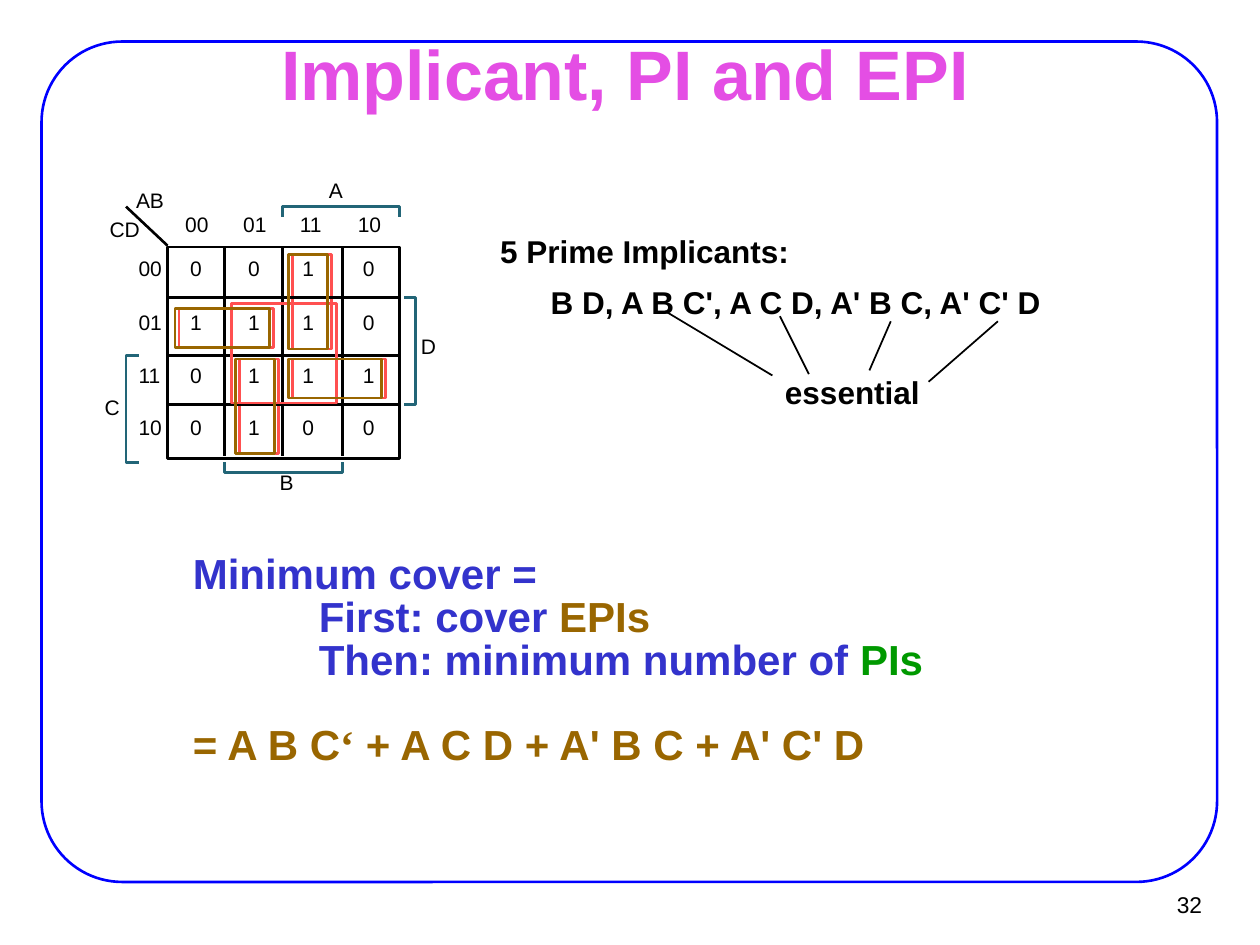
from pptx import Presentation
from pptx.dml.color import RGBColor
from pptx.enum.shapes import MSO_CONNECTOR, MSO_SHAPE
from pptx.enum.text import MSO_ANCHOR, MSO_AUTO_SIZE, PP_ALIGN
from pptx.oxml.ns import qn
from pptx.util import Pt
from lxml.etree import SubElement

PX = 9144  # 100 px to the inch
FONT = "Arial"
INK = {
    "black": "000000", "frame": "0000FF", "title": "E44EE4", "red": "FF5050",
    "brown": "996600", "teal": "226577", "blue": "3333CC", "green": "009900",
}


def color(name):
    return RGBColor.from_string(INK[name])


def emu(*nums):
    return [n * PX for n in nums]


def fill_text(frame, paras, size=12, ink="black", bold=False, align=PP_ALIGN.LEFT,
              inset=(0, 0), wrap=False, lead=None, anchor=MSO_ANCHOR.TOP, grow=True):
    """Each paragraph is (runs, indent, space before); each run (text, ink, font)."""
    if isinstance(paras, str):
        paras = [([(paras, ink, FONT)], 0, 0)]
    frame.margin_left = frame.margin_right = inset[0] * PX
    frame.margin_top = frame.margin_bottom = inset[1] * PX
    frame.word_wrap = wrap
    frame.auto_size = MSO_AUTO_SIZE.SHAPE_TO_FIT_TEXT if grow else MSO_AUTO_SIZE.NONE
    frame.vertical_anchor = anchor
    for i, (runs, indent, gap) in enumerate(paras):
        para = frame.add_paragraph() if i else frame.paragraphs[0]
        para.alignment = align
        if lead:
            para.line_spacing = lead
        if gap:
            para.space_before = Pt(gap)
        if indent:
            para._p.get_or_add_pPr().set("marL", str(indent * PX))
        for text, tint, font in runs:
            run = para.add_run()
            run.text = text
            run.font.size = Pt(size)
            run.font.name = font
            run.font.bold = bold
            run.font.color.rgb = color(tint)


def write(slide, box, text, **form):
    fill_text(slide.shapes.add_textbox(*emu(*box)).text_frame, text, **form)


def trace(shape, ink):
    shape.shadow.inherit = False
    shape.fill.background()
    shape.line.color.rgb = color(ink)
    shape.line.width = Pt(1.5)


def frame_box(slide, box, ink, kind=MSO_SHAPE.RECTANGLE):
    shape = slide.shapes.add_shape(kind, *emu(*box))
    trace(shape, ink)
    return shape


def rule(slide, ends, width=1.5):
    line = slide.shapes.add_connector(MSO_CONNECTOR.STRAIGHT, *emu(*ends))
    line.line.color.rgb = color("black")
    line.line.width = Pt(width)
    SubElement(line._element.spPr, qn("a:effectLst"))


def bracket(slide, points):
    pen = slide.shapes.build_freeform(*points[0], scale=PX)
    pen.add_line_segments(points[1:], close=False)
    trace(pen.convert_to_shape(), "teal")


def head(slide, x, y, w, h):
    title = slide.shapes.title
    title.left, title.top, title.width, title.height = emu(x, y, w, h)
    fill_text(title.text_frame, "Implicant, PI and EPI", size=40, ink="title",
              bold=True, align=PP_ALIGN.CENTER, inset=(7, 3), wrap=True)


def karnaugh(slide, x, y):
    def at(left, top, *size):
        return (x + left, y + top, *size)

    cols, rows = (50, 95, 141, 189, 234), (55, 95, 141, 180, 223)
    codes = ("00", "01", "11", "10")
    cells = ("0010", "1110", "0111", "0100")
    marks = (68, 114, 157, 205)
    lines = (62, 105, 147, 188)
    loops = ((56, 104, 75, 31), (146, 144, 74, 31),
             (104, 144, 31, 75), (146, 61, 31, 75))

    for left, top, w, h in loops:
        frame_box(slide, at(left + 3, top, w, h), "red")

    frame_box(slide, at(cols[0], rows[0], cols[-1] - cols[0], rows[-1] - rows[0]), "black")
    for row in rows[1:-1]:
        rule(slide, at(cols[0], row) + at(cols[-1], row))
    for col in cols[1:-1]:
        rule(slide, at(col, rows[0]) + at(col, rows[-1] - 2))
    rule(slide, at(50, 54) + at(17, 23))

    for i, code in enumerate(codes):
        write(slide, at(64 + round(45.7 * i), 27, 23, 20), code)
        write(slide, at(27, lines[i], 23, 20), code)
    for top, row in zip(lines, cells):
        for left, bit in zip(marks, row):
            write(slide, at(left, top, 14, 20), bit)
    for name, left, top, w in (("AB", 25, 8, 27), ("CD", 4, 31, 29), ("A", 178, 0, 16),
                               ("B", 139, 232, 16), ("C", 0, 172, 17), ("D", 251, 124, 17)):
        write(slide, at(left, top, w, 20), name)

    for points in (
        ((141, 31), (141, 23), (234, 23), (234, 31)),
        ((27, 226), (17, 226), (17, 141), (27, 141)),
        ((189, 226), (189, 234), (95, 234), (95, 226)),
        ((238, 95), (247, 95), (247, 180), (238, 180)),
    ):
        bracket(slide, [at(*p) for p in points])

    frame_box(slide, at(101, 100, 83, 79), "red")
    for loop in loops:
        frame_box(slide, at(*loop), "brown")


def primes(slide, x, y):
    for left, top, w, text in (
        (0, 0, 255, "5 Prime Implicants:"),
        (40, 40, 415, "B D, A B C', A C D, A' B C, A' C' D"),
        (226, 112, 125, "essential"),
    ):
        write(slide, (x + left, y + top, w, 31), text, size=18, bold=True,
              inset=(7, 3), lead=0.85)
    for x1, y1, x2, y2 in ((138, 61, 223, 112), (229, 65, 252, 111),
                           (317, 69, 300, 108), (402, 69, 347, 117)):
        rule(slide, (x + x1, y + y1, x + x2, y + y2), width=1)


def cover(slide, *box):
    paras = [
        ([("Minimum cover =", "blue", FONT)], 0, 0),
        ([("First: cover ", "blue", FONT), ("EPIs", "brown", FONT)], 100, 0),
        ([("Then: minimum number of ", "blue", FONT), ("PIs", "green", FONT)], 100, 0),
        ([("= A B C", "brown", FONT), ("‘", "brown", "Times New Roman"),
          (" + A C D + A' B C + A' C' D", "brown", FONT)], 0, 24),
    ]
    write(slide, box, paras, size=24, bold=True, inset=(7, 3), wrap=True, lead=0.85)


def main():
    deck = Presentation()
    deck.slide_width, deck.slide_height = emu(1000, 750)
    slide = deck.slides.add_slide(deck.slide_layouts[5])
    border = frame_box(slide, (33, 33, 933, 667), "frame", MSO_SHAPE.ROUNDED_RECTANGLE)
    border.adjustments[0] = 0.096
    write(slide, (902, 699, 61, 37), "32", size=13, align=PP_ALIGN.RIGHT,
          inset=(9, 4), anchor=MSO_ANCHOR.MIDDLE, grow=False)
    head(slide, 216, 21, 560, 72)
    primes(slide, 390, 186)
    karnaugh(slide, 83, 141)
    cover(slide, 146, 438, 771, 176)
    deck.save("out.pptx")


if __name__ == "__main__":
    main()
